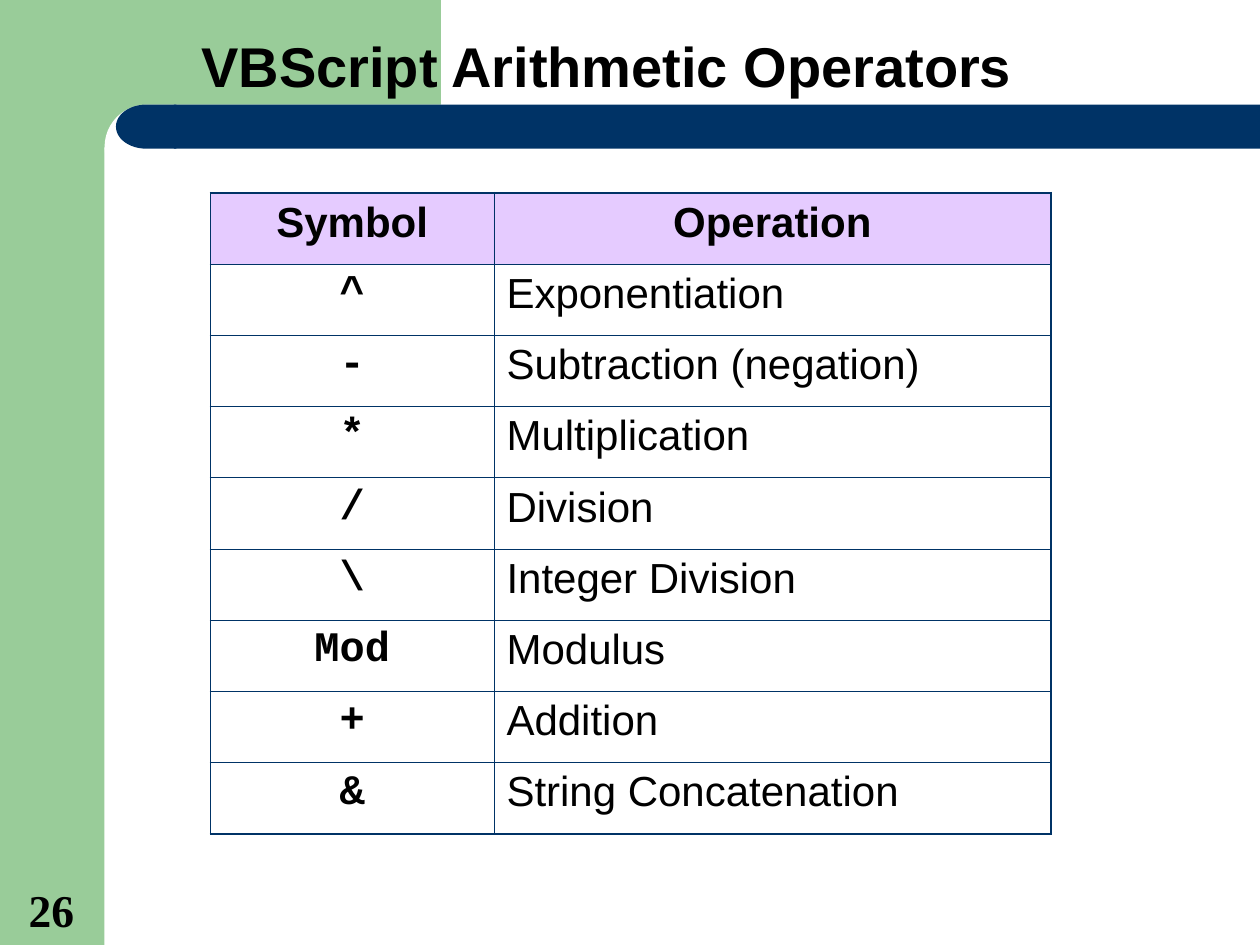
from typing import NamedTuple

from lxml.etree import SubElement
from pptx import Presentation
from pptx.dml.color import RGBColor
from pptx.enum.shapes import MSO_SHAPE
from pptx.enum.text import MSO_ANCHOR, PP_ALIGN
from pptx.oxml.ns import qn
from pptx.util import Inches, Pt

GREEN = RGBColor(0x99, 0xCC, 0x99)
NAVY = RGBColor(0x00, 0x33, 0x66)
LILAC = RGBColor(0xCC, 0x99, 0xFF)
WHITE = RGBColor(0xFF, 0xFF, 0xFF)
BLACK = RGBColor(0x00, 0x00, 0x00)
OUTER_BORDER = Pt(1.08)
INNER_BORDER = Pt(0.45)


class Box(NamedTuple):
    left: float
    top: float
    width: float
    height: float

    def lengths(self):
        return [Inches(value) for value in self]


class Panel(NamedTuple):
    kind: MSO_SHAPE
    box: Box
    color: RGBColor
    rounding: float | None = None
    flipped: bool = False


class Operator(NamedTuple):
    symbol: str
    operation: str


PANELS = [
    Panel(MSO_SHAPE.RECTANGLE, Box(0, 0, 0.83, 7.5), GREEN),
    Panel(MSO_SHAPE.RECTANGLE, Box(0.75, 0, 2.75, 1.17), GREEN),
    Panel(MSO_SHAPE.ROUNDED_RECTANGLE, Box(0.83, 0.83, 5.58, 0.67), WHITE, rounding=0.5),
    Panel(MSO_SHAPE.ROUNDED_RECTANGLE, Box(1.38, 0.83, 8.62, 0.35), NAVY, rounding=0),
    Panel(MSO_SHAPE.FLOWCHART_DELAY, Box(0.92, 0.83, 0.48, 0.35), NAVY, flipped=True),
]

OPERATORS = [
    Operator("^", "Exponentiation"),
    Operator("-", "Subtraction (negation)"),
    Operator("*", "Multiplication"),
    Operator("/", "Division"),
    Operator("\\", "Integer Division"),
    Operator("Mod", "Modulus"),
    Operator("+", "Addition"),
    Operator("&", "String Concatenation"),
]


def write_text(text_frame, text: str, *, size=24, font="Arial", bold=True,
               align=PP_ALIGN.LEFT, line_spacing=None) -> None:
    paragraph = text_frame.paragraphs[0]
    paragraph.alignment = align
    paragraph.line_spacing = line_spacing
    run = paragraph.add_run()
    run.text = text
    run.font.size = Pt(size)
    run.font.name = font
    run.font.bold = bold
    run.font.color.rgb = BLACK


def add_panel(slide, panel: Panel) -> None:
    shape = slide.shapes.add_shape(panel.kind, *panel.box.lengths())
    shape.shadow.inherit = False
    shape.fill.solid()
    shape.fill.fore_color.rgb = panel.color
    shape.line.fill.background()
    if panel.rounding is not None:
        shape.adjustments[0] = panel.rounding
    if panel.flipped:
        shape._element.spPr.find(qn("a:xfrm")).set("flipH", "1")


def add_text_box(slide, box: Box, text: str, **text_format) -> None:
    text_frame = slide.shapes.add_textbox(*box.lengths()).text_frame
    text_frame.word_wrap = True
    text_frame.vertical_anchor = MSO_ANCHOR.BOTTOM
    write_text(text_frame, text, **text_format)


def set_borders(cell, outer_sides: dict[str, bool]) -> None:
    properties = cell._tc.get_or_add_tcPr()
    for side, is_outer in outer_sides.items():
        width = OUTER_BORDER if is_outer else INNER_BORDER
        line = SubElement(properties, qn(f"a:ln{side}"), w=str(int(width)))
        fill = SubElement(line, qn("a:solidFill"))
        SubElement(fill, qn("a:srgbClr"), val=str(NAVY))


def fill_header(cell) -> None:
    cell.fill.solid()
    cell.fill.fore_color.rgb = LILAC
    color = cell._tc.tcPr.find(f"{qn('a:solidFill')}/{qn('a:srgbClr')}")
    SubElement(color, qn("a:alpha"), val="50000")


def add_operator_table(slide, box: Box, column_widths: list[float]) -> None:
    rows = [Operator("Symbol", "Operation"), *OPERATORS]
    last_row, last_column = len(rows) - 1, len(column_widths) - 1
    table = slide.shapes.add_table(len(rows), len(column_widths), *box.lengths()).table
    table.first_row = False
    table.horz_banding = False
    for column, width in zip(table.columns, column_widths):
        column.width = Inches(width)
    for row_index, row in enumerate(rows):
        is_header = row_index == 0
        for column_index, text in enumerate(row):
            is_symbol = column_index == 0
            cell = table.cell(row_index, column_index)
            set_borders(cell, {
                "L": is_symbol,
                "R": column_index == last_column,
                "T": is_header,
                "B": row_index == last_row,
            })
            if is_header:
                fill_header(cell)
            else:
                cell.fill.background()
            write_text(
                cell.text_frame, text,
                font="Courier New" if is_symbol and not is_header else "Arial",
                bold=is_header or is_symbol,
                align=PP_ALIGN.CENTER if is_header or is_symbol else PP_ALIGN.JUSTIFY,
            )


def main() -> None:
    presentation = Presentation()
    presentation.slide_width = Inches(10)
    presentation.slide_height = Inches(7.5)
    slide = presentation.slides.add_slide(presentation.slide_layouts[6])
    for panel in PANELS:
        add_panel(slide, panel)
    add_text_box(slide, Box(1.5, 0.17, 8.5, 0.67), "VBScript Arithmetic Operators",
                 size=32, line_spacing=0.9)
    add_operator_table(slide, Box(1.67, 1.53, 6.67, 5.09), [2.25, 4.42])
    add_text_box(slide, Box(0.13, 6.94, 0.64, 0.54), "26",
                 size=26, font="Times New Roman")
    presentation.save("out.pptx")


if __name__ == "__main__":
    main()
